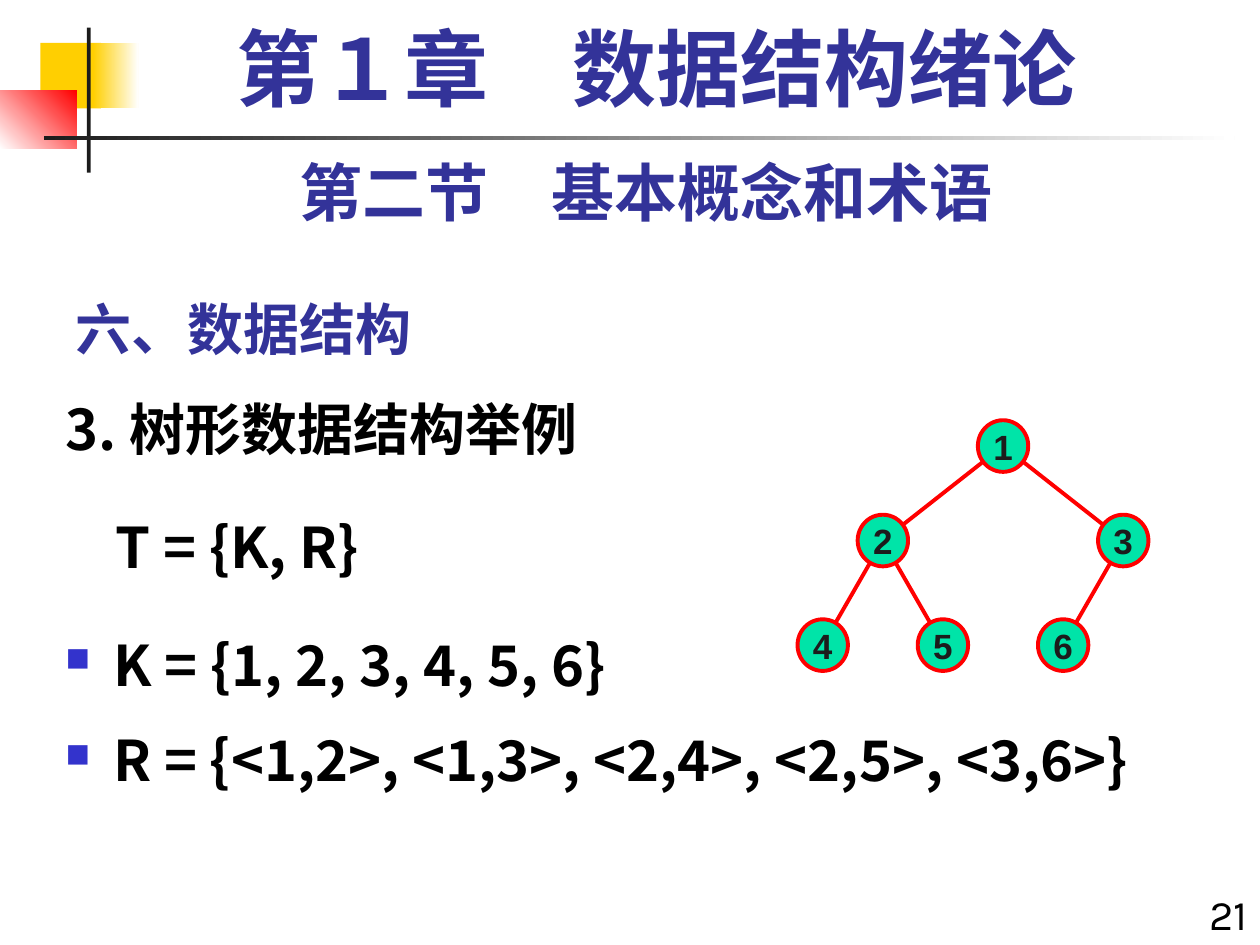
from lxml.etree import SubElement
from pptx import Presentation
from pptx.dml.color import RGBColor
from pptx.enum.shapes import MSO_CONNECTOR as Connector, MSO_SHAPE as Shape
from pptx.enum.text import MSO_ANCHOR as Anchor, PP_ALIGN as Align
from pptx.oxml.ns import qn
from pptx.util import Inches, Pt

color = RGBColor.from_string
NAVY, BLACK, INK, RED, WHITE = "333399", "000000", "1C1C1C", "FF0000", "FFFFFF"

deck = Presentation()
deck.slide_width, deck.slide_height = Inches(10), Inches(7.5)
page = deck.slides.add_slide(deck.slide_layouts[6])


def add_text(area, lines, size, font, ink, bold=True, align=Align.LEFT, anchor=Anchor.TOP):
    box = page.shapes.add_textbox(*map(Inches, area))
    frame = box.text_frame
    frame.word_wrap = True
    frame.vertical_anchor = anchor
    frame.text = "\n".join(lines)
    for para in frame.paragraphs:
        para.alignment = align
        para.font.size = Pt(size)
        para.font.name = font
        para.font.bold = bold
        para.font.color.rgb = color(ink)
    return frame.paragraphs


def add_shape(kind, area, start, end=None, angle=0):
    shape = page.shapes.add_shape(kind, *map(Inches, area))
    shape.shadow.inherit = False
    shape.line.fill.background()
    if end:
        shape.fill.gradient()
        shape.fill.gradient_angle = angle
        for stop, shade in zip(shape.fill.gradient_stops, (start, end)):
            stop.color.rgb = color(shade)
        shape.fill.gradient_stops[0].position = 0
        shape.fill.gradient_stops[1].position = 1
    else:
        shape.fill.solid()
        shape.fill.fore_color.rgb = color(start)
    return shape


add_shape(Shape.RECTANGLE, (0.32, 0.34, 0.48, 0.52), "FFCF01")
add_shape(Shape.RECTANGLE, (0.74, 0.34, 0.36, 0.52), "FFCF01", WHITE)
add_shape(Shape.RECTANGLE, (0, 0.72, 0.61, 0.46), WHITE, RED, 45)
add_shape(Shape.RECTANGLE, (0.69, 0.22, 0.03, 1.15), INK)
add_shape(Shape.RECTANGLE, (0.35, 1.08, 9.45, 0.03), INK, WHITE)

add_text((0.5, 2.17, 6.75, 0.75), ["六、数据结构"], 32, "Noto Sans CJK SC", NAVY, anchor=Anchor.BOTTOM)
add_text((9.33, 7, 0.67, 0.5), ["21"], 24, "Karla", BLACK, bold=False, align=Align.RIGHT)
add_text((0.5, 1.17, 9.25, 0.7), ["第二节　基本概念和术语"], 36, "Karla", NAVY, align=Align.CENTER)
chapter = add_text((0.67, 0.17, 9.08, 0.83), ["第１章　数据结构绪论"], 48, "Times New Roman", NAVY, align=Align.CENTER)
chapter[0].line_spacing = 0.9

body = add_text((0.42, 3.08, 9.58, 4.25), [
    "3. 树形数据结构举例",
    "T = {K, R}",
    "K = {1, 2, 3, 4, 5, 6}",
    "R = {<1,2>, <1,3>, <2,4>, <2,5>, <3,6>}",
], 32, "Noto Sans CJK SC", BLACK)
for para, before in zip(body, (0, 29, 29, 16)):
    para.line_spacing = Pt(38.4)
    para.space_before = Pt(before)
body[1]._p.get_or_add_pPr().set("marL", str(Inches(0.4)))
for para in body[2:]:
    properties = para._p.get_or_add_pPr()
    properties.set("marL", str(Inches(0.38)))
    properties.set("indent", str(-Inches(0.38)))
    bullet_color = properties.makeelement(qn("a:buClr"), {})
    SubElement(bullet_color, qn("a:srgbClr"), val="3333CC")
    bullet_size = properties.makeelement(qn("a:buSzPct"), {"val": "60000"})
    bullet = properties.makeelement(qn("a:buChar"), {"char": "■"})
    for element in (bullet_color, bullet_size, bullet):
        properties.find(qn("a:defRPr")).addprevious(element)

TREE_LEFT, COLUMN = 6.53, 0.477
ROWS = (3.54, 4.29, 5.12)
NODE_WIDTH, NODE_HEIGHT = 0.4, 0.41
nodes = {1: (3, 0), 2: (1, 1), 3: (5, 1), 4: (0, 2), 5: (2, 2), 6: (4, 2)}
centers = {key: (TREE_LEFT + column * COLUMN, ROWS[row]) for key, (column, row) in nodes.items()}

for parent, child in ((1, 2), (1, 3), (2, 4), (2, 5), (3, 6)):
    (x1, y1), (x2, y2) = centers[parent], centers[child]
    ends = [Inches(a + (b - a) * share) for share in (0.1, 0.86) for a, b in ((x1, x2), (y1, y2))]
    edge = page.shapes.add_connector(Connector.STRAIGHT, *ends)
    edge.line.color.rgb = color(RED)
    edge.line.width = Pt(2.25)
    SubElement(edge._element.spPr, qn("a:effectLst"))

for key, (x, y) in centers.items():
    area = (x - NODE_WIDTH / 2, y - NODE_HEIGHT / 2, NODE_WIDTH, NODE_HEIGHT)
    node = add_shape(Shape.OVAL, area, "00E4A8")
    node.line.color.rgb = color(RED)
    node.line.width = Pt(2.25)
    frame = node.text_frame
    frame.word_wrap = False
    frame.margin_left = frame.margin_right = frame.margin_top = frame.margin_bottom = 0
    frame.vertical_anchor = Anchor.MIDDLE
    para = frame.paragraphs[0]
    para.text = str(key)
    para.alignment = Align.CENTER
    para.font.size = Pt(20)
    para.font.name = "Arial"
    para.font.bold = True
    para.font.color.rgb = color(INK)

deck.save("out.pptx")
